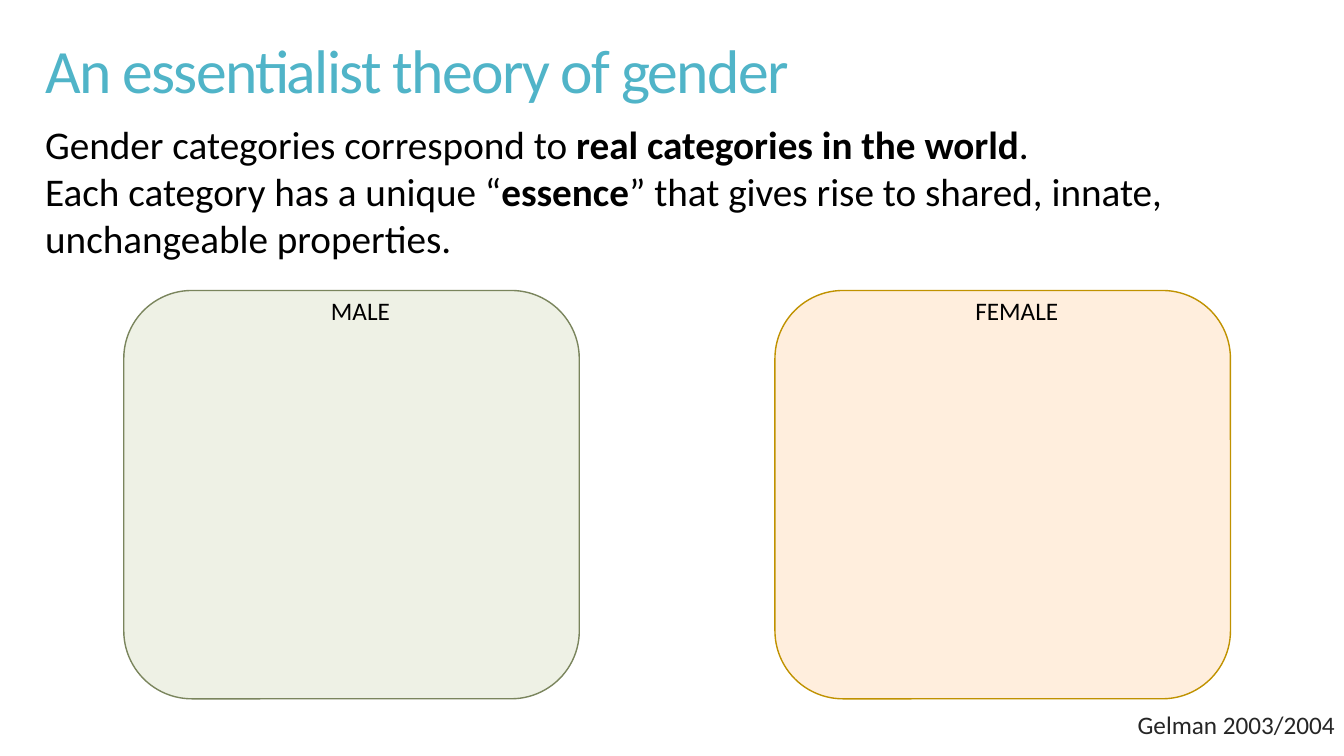
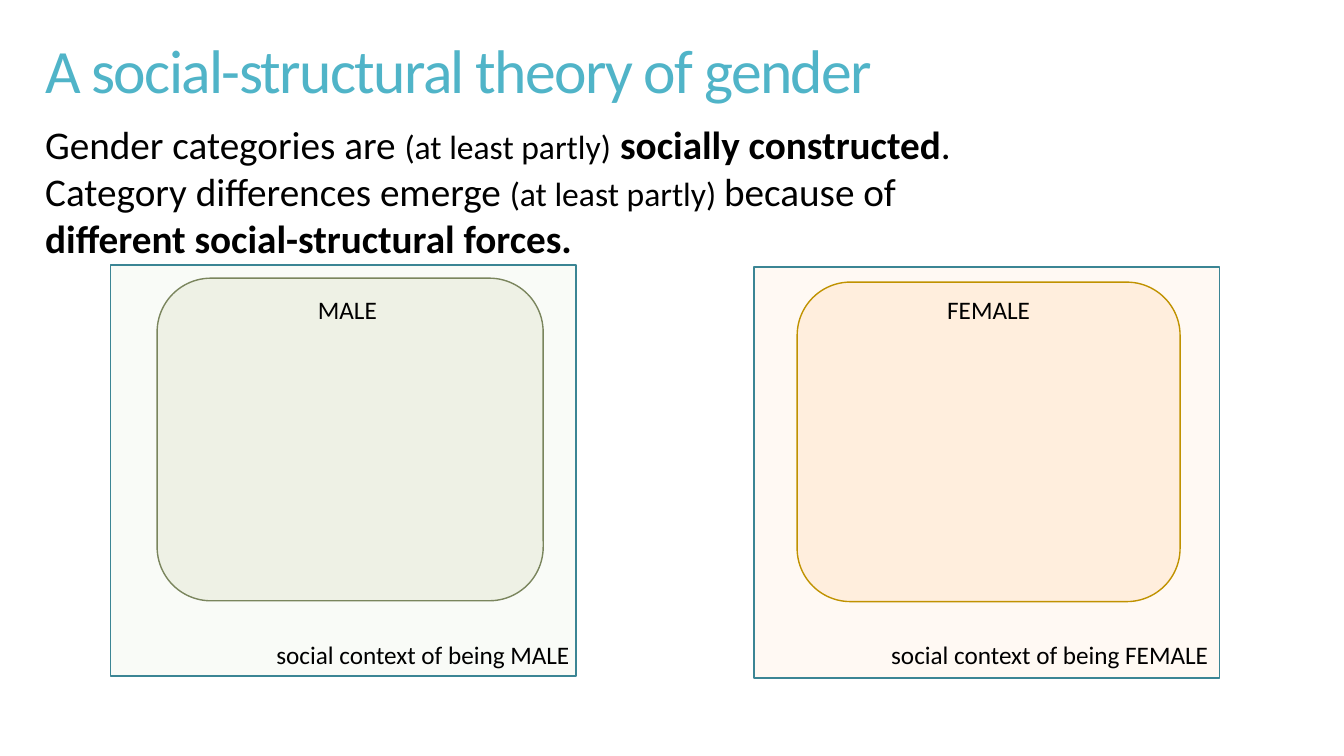
"""Build two slides that contrast essentialist and social-structural theories of gender."""
from pptx import Presentation
from pptx.dml.color import RGBColor
from pptx.enum.shapes import MSO_SHAPE
from pptx.enum.text import MSO_ANCHOR, PP_ALIGN
from pptx.util import Cm, Pt

RECT, ROUNDED = MSO_SHAPE.RECTANGLE, MSO_SHAPE.ROUNDED_RECTANGLE
LEFT, CENTER, RIGHT = PP_ALIGN.LEFT, PP_ALIGN.CENTER, PP_ALIGN.RIGHT
TOP, MIDDLE = MSO_ANCHOR.TOP, MSO_ANCHOR.MIDDLE

FONT = "Calibri"
TITLE_COLOR, TEXT_COLOR, SOURCE_COLOR = "50B4C8", "000000", "262626"
CONTEXT_LINE = "3B8594"
TITLE_BOX = (0.89, -0.43, 29.92, 4.6)
BODY_BOX = (0.89, 2.9, 30.6, 3.84)
SOURCE_BOX = (21.72, 17.86, 12.17, 1.19)
BODY_SIZE, ASIDE_SIZE, LABEL_SIZE = 28, 24, 18
LABEL_HEIGHT = 1.02

PALETTE = {
    "MALE": {"fill": "EEF1E5", "line": "7A855D", "context": "F9FBF7"},
    "FEMALE": {"fill": "FFEEDD", "line": "C09200", "context": "FFF9F3"},
}

SLIDES = [
    {
        "title": "An essentialist theory of gender",
        "body": [
            [("Gender categories correspond to ", ""),
             ("real categories in the world", "bold"), (".", "")],
            [("Each category has a unique “", ""), ("essence", "bold"),
             ("” that gives rise to shared, innate, unchangeable properties.", "")],
        ],
        "categories": [
            {"name": "MALE", "box": (3.12, 7.32, 11.48, 10.29), "label": (8.08, 7.32, 2.01)},
            {"name": "FEMALE", "box": (19.53, 7.32, 11.48, 10.29), "label": (24.33, 7.32, 2.59)},
        ],
        "source": "Gelman 2003/2004",
    },
    {
        "title": "A social-structural theory of gender",
        "body": [
            [("Gender categories are ", ""), ("(at least partly)", "aside"), (" ", ""),
             ("socially constructed", "bold"), (".", "")],
            [("Category differences emerge ", ""), ("(at least partly) ", "aside"),
             ("because of", "")],
            [("different social-structural forces.", "bold")],
        ],
        "categories": [
            {"name": "MALE", "box": (3.96, 7.01, 9.73, 8.13), "label": (7.75, 7.29, 2.01),
             "context": (2.79, 6.68, 11.73, 10.36), "caption": (6.71, 15.98, 7.9)},
            {"name": "FEMALE", "box": (20.09, 7.11, 9.65, 8.05), "label": (23.62, 7.29, 2.59),
             "context": (19, 6.73, 11.73, 10.36), "caption": (22.2, 15.98, 8.51)},
        ],
    },
]


def color(value):
    return RGBColor.from_string(value)


def add_panel(slide, preset, box, fill, line):
    panel = slide.shapes.add_shape(preset, *map(Cm, box))
    panel.shadow.inherit = False
    panel.fill.solid()
    panel.fill.fore_color.rgb = color(fill)
    panel.line.color.rgb = color(line)
    panel.line.width = Pt(1)


def add_text(slide, box, lines, size, ink=TEXT_COLOR, align=LEFT, anchor=TOP,
             wrap=True, spacing=None, tracking=None):
    frame = slide.shapes.add_textbox(*map(Cm, box)).text_frame
    frame.word_wrap = wrap
    frame.vertical_anchor = anchor
    for number, line in enumerate(lines):
        paragraph = frame.paragraphs[0] if number == 0 else frame.add_paragraph()
        paragraph.alignment = align
        paragraph.line_spacing = spacing
        paragraph.font.name = FONT
        paragraph.font.size = Pt(size)
        paragraph.font.color.rgb = color(ink)
        for words, style in line:
            run = paragraph.add_run()
            run.text = words
            if style == "bold":
                run.font.bold = True
            elif style == "aside":
                run.font.size = Pt(ASIDE_SIZE)
            if tracking:
                run._r.get_or_add_rPr().set("spc", str(tracking))


def add_label(slide, place, words):
    add_text(slide, (*place, LABEL_HEIGHT), [[(words, "")]], LABEL_SIZE,
             align=CENTER, wrap=False)


def add_category(slide, category):
    name = category["name"]
    colors = PALETTE[name]
    if "context" in category:
        add_panel(slide, RECT, category["context"], colors["context"], CONTEXT_LINE)
        add_label(slide, category["caption"], f"social context of being {name}")
    add_panel(slide, ROUNDED, category["box"], colors["fill"], colors["line"])
    add_label(slide, category["label"], name)


def build_slide(deck, content):
    slide = deck.slides.add_slide(deck.slide_layouts[6])
    for category in content["categories"]:
        add_category(slide, category)
    add_text(slide, TITLE_BOX, [[(content["title"], "")]], 44, TITLE_COLOR,
             anchor=MIDDLE, spacing=0.85, tracking=-120)
    add_text(slide, BODY_BOX, content["body"], BODY_SIZE)
    if "source" in content:
        add_text(slide, SOURCE_BOX, [[(content["source"], "")]], LABEL_SIZE,
                 SOURCE_COLOR, align=RIGHT, spacing=0.85)


def main():
    deck = Presentation()
    deck.slide_width, deck.slide_height = Cm(33.87), Cm(19.05)
    for content in SLIDES:
        build_slide(deck, content)
    deck.save("out.pptx")


if __name__ == "__main__":
    main()
